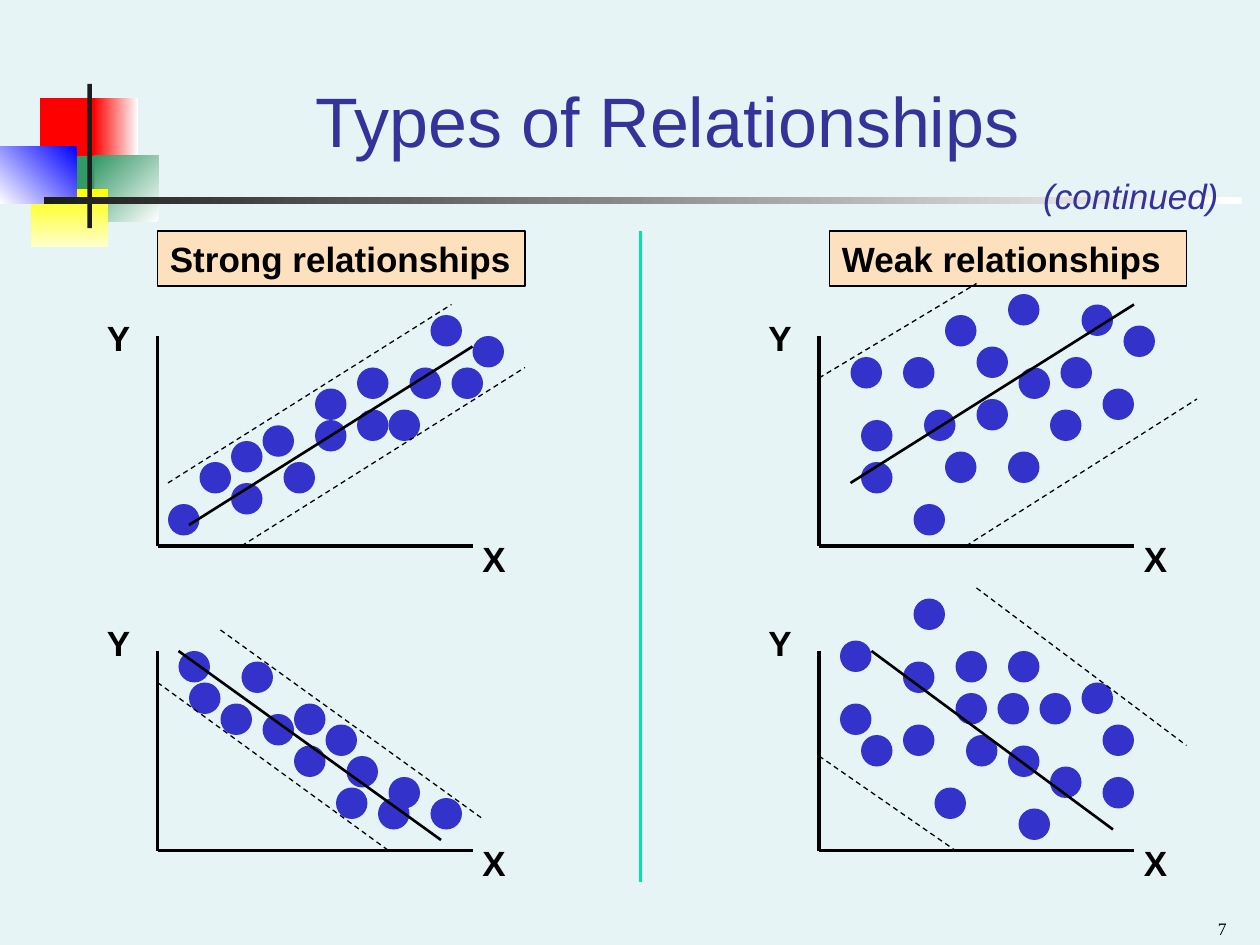
import pptx
import pptx.util
import pptx.dml.color
import pptx.enum.dml
import pptx.enum.shapes
import pptx.enum.text
from lxml import etree

Pt = pptx.util.Pt
SHAPE = pptx.enum.shapes.MSO_SHAPE
ANCHOR = pptx.enum.text.MSO_ANCHOR
ALIGN = pptx.enum.text.PP_ALIGN
DRAWING_NS = "http://schemas.openxmlformats.org/drawingml/2006/main"

GRID = 6  # points per unit of the plot coordinates
DOT = 18
BLACK, INDIGO, DOT_BLUE = "000000", "333399", "3333CC"

# Dots are top-left corners and lines are x1, y1, x2, y2,
# in grid units from the top of the Y axis.
STRONG_UP = {
    "dots": [(1, 16), (4, 12), (26, -2), (28, 3), (7, 14), (30, 0), (19, 7),
             (19, 3), (24, 3), (15, 5), (7, 10), (10, 8.5), (22, 7), (15, 8),
             (12, 12)],
    "limits": [(1, 14, 28, -3), (8, 20, 35, 3)],
    "trend": (3, 18, 30, 1),
}
STRONG_DOWN = {
    "dots": [(21, 14), (3, 3), (26, 14), (8, 1), (18, 10), (22, 12), (13, 5),
             (2, 0), (6, 5), (10, 6), (17, 13), (16, 7), (13, 9)],
    "limits": [(6, -2, 31, 16), (0, 3, 22, 19)],
    "trend": (2, 0, 27, 18),
}
WEAK_UP = {
    "dots": [(15, 1), (4, 12), (18, 11), (23, 2), (8, 2), (9, 16), (12, 11),
             (19, 3), (12, -2), (4, 8), (3, 2), (10, 7), (22, 7), (15, 6),
             (18, -4), (29, -1), (27, 5), (25, -3)],
    "limits": [(0, 4, 15, -5), (14, 20, 36, 6)],
    "trend": (3, 14, 30, -3),
}
WEAK_DOWN = {
    "dots": [(2, 5), (2, -1), (8, 7), (19, 15), (4, 8), (13, 0), (18, 9),
             (17, 4), (13, 4), (8, 1), (21, 4), (14, 8), (11, 13), (22, 11),
             (27, 7), (25, 3), (27, 12), (18, 0), (9, -5)],
    "limits": [(15, -6, 35, 9), (0, 10, 13, 19)],
    "trend": (5, 0, 28, 17),
}


def rgb(value):
    return pptx.dml.color.RGBColor.from_string(value)


def add_shape(s, kind, box, fill, angle=0, line=None):
    """A pair of colours as fill makes a gradient, angle counter-clockwise."""
    sp = s.shapes.add_shape(kind, *map(Pt, box))
    sp.shadow.inherit = False
    if isinstance(fill, tuple):
        sp.fill.gradient()
        sp.fill.gradient_angle = angle
        for stop, color, position in zip(sp.fill.gradient_stops, fill, (0, 1)):
            stop.color.rgb = rgb(color)
            stop.position = position
    else:
        sp.fill.solid()
        sp.fill.fore_color.rgb = rgb(fill)
    if line:
        sp.line.color.rgb = rgb(line)
        sp.line.width = Pt(1)
    else:
        sp.line.fill.background()
    return sp


def add_line(s, ends, color, width, dashed=False):
    c = s.shapes.add_connector(pptx.enum.shapes.MSO_CONNECTOR.STRAIGHT,
                               *map(Pt, ends))
    c.line.color.rgb = rgb(color)
    c.line.width = Pt(width)
    if dashed:
        c.line.dash_style = pptx.enum.dml.MSO_LINE.DASH
    etree.SubElement(c._element.spPr, f"{{{DRAWING_NS}}}effectLst")


def write(sp, text, size=20, color=BLACK, font="Arial", bold=False,
          italic=False, align=ALIGN.LEFT, anchor=ANCHOR.TOP, wrap=True):
    tf = sp.text_frame
    tf.word_wrap = wrap
    tf.vertical_anchor = anchor
    p = tf.paragraphs[0]
    p.alignment = align
    r = p.add_run()
    r.text = text
    r.font.name, r.font.size = font, Pt(size)
    r.font.bold, r.font.italic = bold, italic
    r.font.color.rgb = rgb(color)


def add_text(s, box, text, **style):
    write(s.shapes.add_textbox(*map(Pt, box)), text, **style)


def add_ornament(s, left, top):
    """Overlapping squares with a cross of two bars."""
    parts = [
        ((23, 8, 34.5, 37.5), "FF0000", 0),
        ((53.5, 8, 25.5, 37.5), ("FFFFFF", "FF0000"), 180),
        ((54, 41, 36.5, 37.5), ("FFFFFF", "339966"), 135),
        ((31, 41, 23, 37.5), "339966", 0),
        ((18, 60, 44, 33), ("FFFF00", "FFFFCC"), 270),
        ((0, 35.5, 44, 33), ("0000FF", "FFFFFF"), 225),
        ((50, 0, 2.5, 82.5), "1C1C1C", 0),
        ((25, 64.5, 684.5, 4), ("FFFFFF", "1C1C1C"), 180),
    ]
    for (x, y, w, h), fill, angle in parts:
        add_shape(s, SHAPE.RECTANGLE, (left + x, top + y, w, h), fill, angle)


def add_heading(s, box, text):
    sp = add_shape(s, SHAPE.RECTANGLE, box, "FDE0BD", line=BLACK)
    write(sp, text, bold=True)


def add_scatter(s, left, top, width, height, plot):
    right, bottom = left + width, top + height

    def place(ends):
        return [start + GRID * v for start, v in zip((left, top) * 2, ends)]

    for dot in plot["dots"]:
        add_shape(s, SHAPE.OVAL, (*place(dot), DOT, DOT), DOT_BLUE)
    add_line(s, (left, top, left, bottom), BLACK, 2)
    add_line(s, (left, bottom, right, bottom), BLACK, 2)
    for limit in plot["limits"]:
        add_line(s, place(limit), BLACK, 0.75, dashed=True)
    add_line(s, place(plot["trend"]), BLACK, 1.5)
    for label, x, y in (("Y", left - 36, bottom - 134.5),
                        ("X", right - 1.5, bottom - 8.5)):
        add_text(s, (x, y, 27, 31.5), label, bold=True, wrap=False)


def add_title(s, box):
    left, top, width, height = box
    add_text(s, box, "Types of Relationships", size=40, color=INDIGO,
             align=ALIGN.CENTER, anchor=ANCHOR.BOTTOM)
    add_text(s, (left + width - 83, top + height, 114.5, 31.5), "(continued)",
             color=INDIGO, italic=True, wrap=False)


def main():
    prs = pptx.Presentation()
    prs.slide_width, prs.slide_height = Pt(720), Pt(540)
    s = prs.slides.add_slide(prs.slide_layouts[6])
    s.background.fill.solid()
    s.background.fill.fore_color.rgb = rgb("E7F4F5")

    add_ornament(s, 0, 48)
    add_title(s, (91, 18, 581, 78))
    add_line(s, (366, 132, 366, 504), "00E4A8", 2.25)
    add_heading(s, (90, 132, 210, 31.5), "Strong relationships")
    add_heading(s, (474, 132, 204, 31.5), "Weak relationships")
    for left, upper, lower in ((90, STRONG_UP, STRONG_DOWN),
                               (468, WEAK_UP, WEAK_DOWN)):
        add_scatter(s, left, 192, 180, 120, upper)
        add_scatter(s, left, 372, 180, 114, lower)
    add_text(s, (540, 515, 168, 25), "7", size=10, font="Times New Roman",
             align=ALIGN.RIGHT, anchor=ANCHOR.BOTTOM)
    prs.save("out.pptx")


if __name__ == "__main__":
    main()
